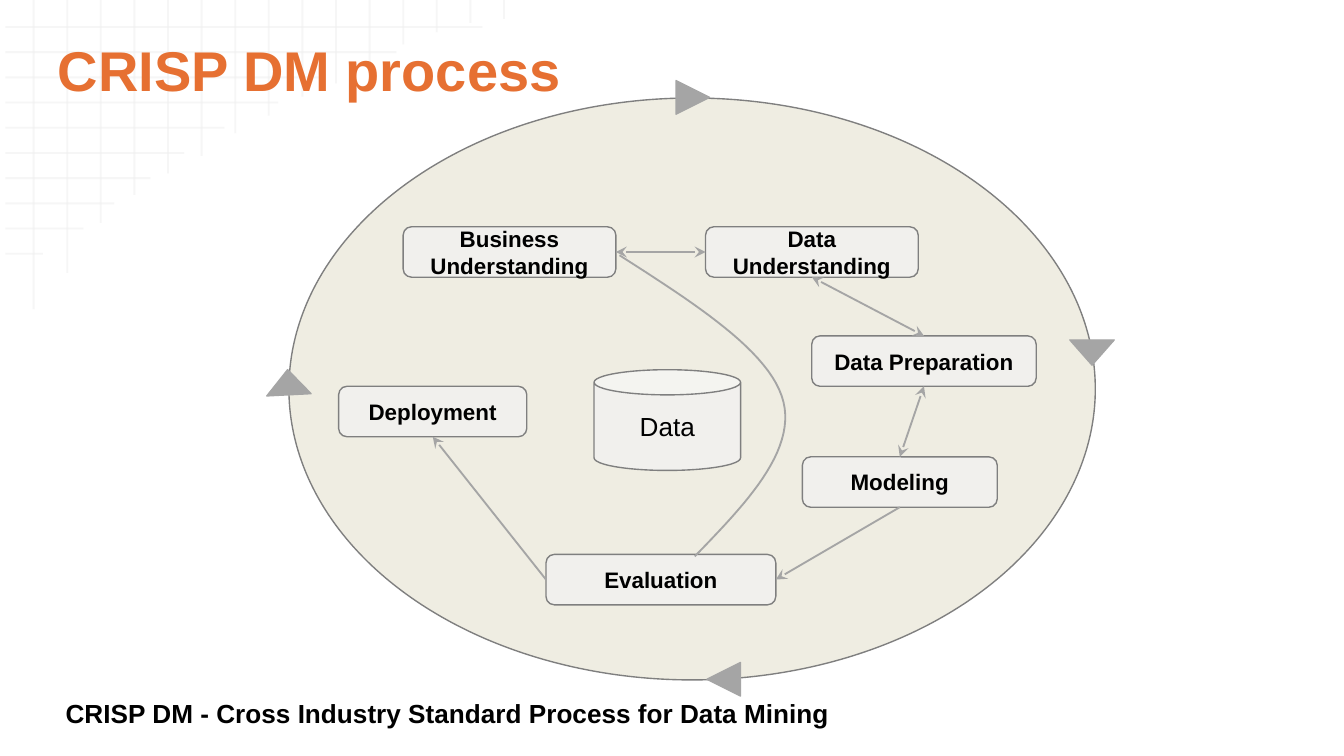
from lxml import etree
from pptx import Presentation, util as u
from pptx.dml.color import RGBColor
from pptx.enum import shapes, text
from pptx.oxml import ns

THEME = {
    "font": "Arial", "accent": "E67032", "ink": "000000", "mesh": "EFEFEF",
    "oval": "EFEDE2", "node": "F2F2F2", "border": "7F7F7F", "arrow": "A5A5A5",
    "title": 30, "label": 12, "data": 14, "caption": 14,
}

deck = Presentation()
deck.slide_width, deck.slide_height = u.Inches(10), u.Inches(5.625)
COL, ROW = deck.slide_width / 40, deck.slide_height / 30
slide = deck.slides.add_slide(deck.slide_layouts[5])
canvas = slide.shapes


def span(*cells):
    return [round(cell * (ROW if i % 2 else COL)) for i, cell in enumerate(cells)]


def write(frame, content, size, color="ink", bold=True, align=text.PP_ALIGN.CENTER,
          anchor=text.MSO_ANCHOR.MIDDLE):
    frame.word_wrap = True
    frame.vertical_anchor = anchor
    for i, words in enumerate(content.split("\n")):
        paragraph = frame.add_paragraph() if i else frame.paragraphs[0]
        paragraph.alignment = align
        run = paragraph.add_run()
        run.text = words
        run.font.name = THEME["font"]
        run.font.size = u.Pt(THEME[size])
        run.font.bold = bold
        run.font.color.rgb = RGBColor.from_string(THEME[color])


straight = shapes.MSO_CONNECTOR.STRAIGHT
preset = shapes.MSO_SHAPE
lines, solids = [], []

row_ends = [14.36, 11.8, 9.64, 8.28, 6.68, 5.48, 4.48, 3.4, 2.48, 1.28]
col_ends = [12.27, 10.83, 8.85, 7.73, 6.88, 6.19, 5.28, 4.59, 3.84, 3.31,
            2.56, 1.76, 1.28, 0.91, 0.75]
mesh = [(0.16, k + 0.07, end, k + 0.07) for k, end in enumerate(row_ends, 1)]
mesh += [(k, end, k, 0) for k, end in enumerate(col_ends, 1)]
for ends in mesh:
    lines.append((canvas.add_connector(straight, *span(*ends)), "mesh", 54, ()))

cycle = canvas.add_shape(preset.OVAL, *span(8.6, 3.89, 24, 23.09))
solids.append((cycle, "oval", "border", 100))

steps = {}
for label, left, top, width in [
    ("Business\nUnderstanding", 12, 9, 6.33),
    ("Data Understanding", 21, 9, 6.33),
    ("Data Preparation", 24.16, 13.33, 6.68),
    ("Modeling", 23.88, 18.13, 5.8),
    ("Deployment", 10.08, 15.33, 5.6),
    ("Evaluation", 16.25, 22, 6.84),
]:
    step = canvas.add_shape(preset.ROUNDED_RECTANGLE, *span(left, top, width, 2))
    write(step.text_frame, label, size="label")
    steps[label.replace("\n", " ")] = step
    solids.append((step, "node", "border", 70))

store = canvas.add_shape(preset.CAN, *span(17.68, 14.67, 4.36, 4))
write(store.text_frame, "Data", size="data", bold=False)
solids.append((store, "node", "border", 70))

TOP, LEFT, BOTTOM, RIGHT = range(4)
both, forward = ("headEnd", "tailEnd"), ("tailEnd",)
for source, exit_side, target, entry_side, heads in [
    ("Business Understanding", RIGHT, "Data Understanding", LEFT, both),
    ("Data Understanding", BOTTOM, "Data Preparation", TOP, both),
    ("Data Preparation", BOTTOM, "Modeling", TOP, both),
    ("Modeling", BOTTOM, "Evaluation", RIGHT, forward),
    ("Evaluation", LEFT, "Deployment", BOTTOM, forward),
]:
    flow = canvas.add_connector(straight, 0, 0, 0, 0)
    flow.begin_connect(steps[source], exit_side)
    flow.end_connect(steps[target], entry_side)
    lines.append((flow, "arrow", 100, heads))

bends = [
    [(20.68, 22.08), (22.2, 20), (23.68, 17.92), (23.32, 15.95)],
    [(23.32, 15.95), (22.96, 13.97), (20.68, 12.05), (18.44, 10.13)],
]
track = []
for bend in bends:
    for i in range(25):
        t = i / 24
        weights = ((1 - t) ** 3, 3 * t * (1 - t) ** 2, 3 * t * t * (1 - t), t ** 3)
        track.append(span(*(sum(w * p[axis] for w, p in zip(weights, bend))
                            for axis in (0, 1))))
builder = canvas.build_freeform(*track[0])
builder.add_line_segments(track[1:], close=False)
feedback = builder.convert_to_shape()
feedback.shadow.inherit = False
feedback.fill.background()
feedback.line.color.rgb = RGBColor.from_string(THEME["arrow"])
feedback.line.width = u.Pt(1)

for left, top, width, height, turn in [
    (20.12, 3.2, 1, 1.33, 90), (31.84, 13.49, 1.32, 1, 180),
    (21.04, 26.29, 1, 1.33, 270), (7.92, 14.67, 1.32, 1, 357.1),
]:
    pointer = canvas.add_shape(preset.ISOSCELES_TRIANGLE, *span(left, top, width, height))
    pointer.rotation = turn
    solids.append((pointer, "arrow", "arrow", 100))

for solid, fill, border, opacity in solids:
    solid.shadow.inherit = False
    solid.fill.solid()
    solid.fill.fore_color.rgb = RGBColor.from_string(THEME[fill])
    solid.line.color.rgb = RGBColor.from_string(THEME[border])
    solid.line.width = u.Pt(0.75)

for line, color, opacity, heads in lines:
    line.line.color.rgb = RGBColor.from_string(THEME[color])
    line.line.width = u.Pt(1)
    for head in heads:
        etree.SubElement(line.element.spPr.find(ns.qn("a:ln")), ns.qn("a:" + head),
                         type="stealth")
    etree.SubElement(line.element.spPr, ns.qn("a:effectLst"))

for part, *_, opacity in solids + [(line, opacity) for line, _, opacity, _ in lines]:
    if opacity < 100:
        tint = part.element.spPr.find(".//" + ns.qn("a:srgbClr"))
        etree.SubElement(tint, ns.qn("a:alpha"), val=str(opacity * 1000))

heading = canvas.title
heading.left, heading.top, heading.width, heading.height = span(1.32, 1.01, 36, 3.47)
write(heading.text_frame, "CRISP DM process", size="title", color="accent",
      align=text.PP_ALIGN.LEFT)
heading.element.getparent().append(heading.element)

caption = canvas.add_textbox(*span(1.56, 27.41, 24, 1.81))
write(caption.text_frame, "CRISP DM - Cross Industry Standard Process for Data Mining",
      size="caption", align=text.PP_ALIGN.LEFT, anchor=text.MSO_ANCHOR.TOP)

deck.save("out.pptx")
